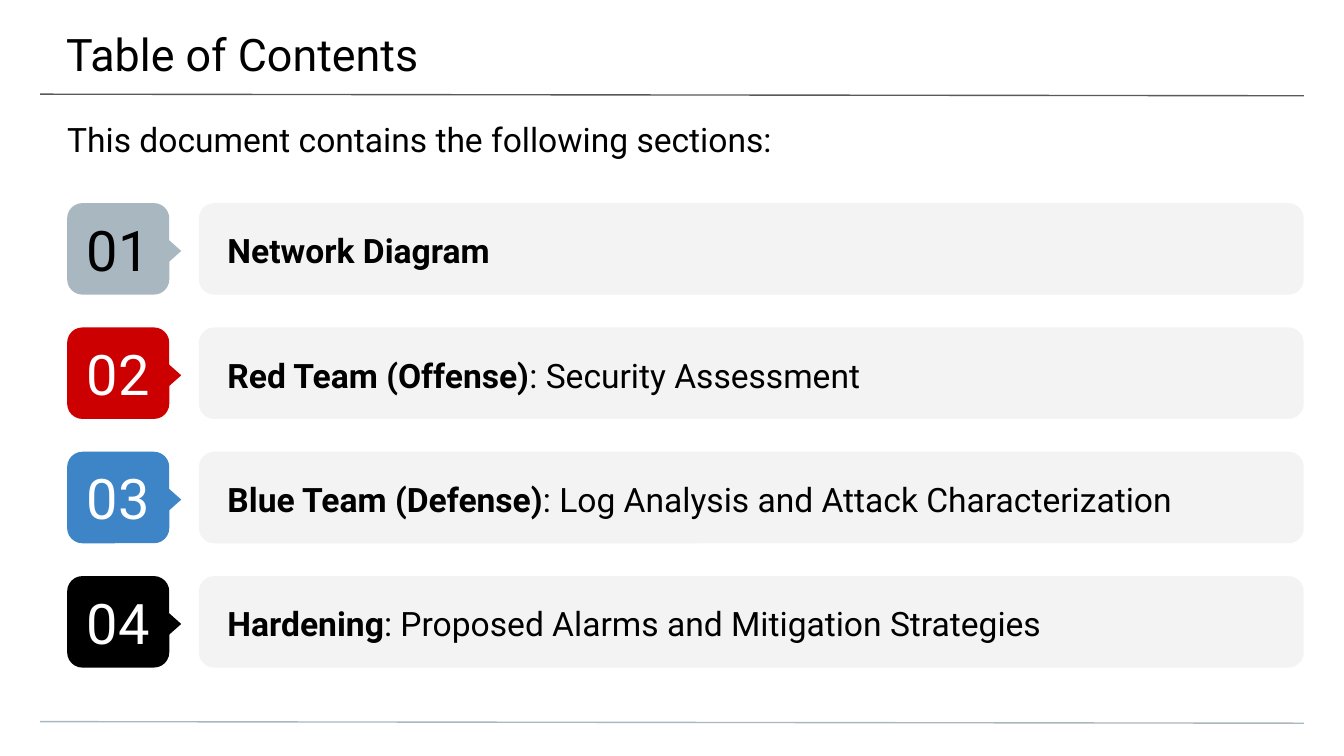
import pptx
import pptx.util
import pptx.dml.color
import pptx.enum.shapes
import pptx.enum.text
import pptx.oxml.ns
import lxml.etree
from dataclasses import dataclass

Cm = pptx.util.Cm
Shape = pptx.enum.shapes.MSO_SHAPE
Anchor = pptx.enum.text.MSO_ANCHOR
Align = pptx.enum.text.PP_ALIGN
rgb = pptx.dml.color.RGBColor.from_string


@dataclass
class Theme:
    font: str = "Roboto"
    ink: str = "000000"
    light: str = "FFFFFF"
    panel: str = "F3F3F3"
    header_rule: str = "595959"
    gray: str = "A9B7C0"
    red: str = "CC0000"
    blue: str = "3D85C6"
    title_size: int = 24
    body_size: int = 18
    number_size: int = 30


theme = Theme()


def add_filled(shapes, preset, left, top, width, height, color):
    shape = shapes.add_shape(preset, Cm(left), Cm(top), Cm(width), Cm(height))
    shape.shadow.inherit = False
    shape.fill.solid()
    shape.fill.fore_color.rgb = rgb(color)
    shape.line.fill.background()
    return shape


def write(shape, runs, size, color, margins, anchor=Anchor.MIDDLE, align=Align.LEFT):
    frame = shape.text_frame
    frame.word_wrap = True
    frame.auto_size = pptx.enum.text.MSO_AUTO_SIZE.NONE
    frame.vertical_anchor = anchor
    (frame.margin_left, frame.margin_top,
     frame.margin_right, frame.margin_bottom) = [Cm(m) for m in margins]
    paragraph = frame.paragraphs[0]
    paragraph.alignment = align
    paragraph.space_before = pptx.util.Pt(0)
    paragraph.line_spacing = 1.0
    for text, bold in runs:
        run = paragraph.add_run()
        run.text = text
        run.font.name = theme.font
        run.font.size = pptx.util.Pt(size)
        run.font.bold = bold
        run.font.color.rgb = rgb(color)
    return paragraph


deck = pptx.Presentation()
deck.slide_width, deck.slide_height = Cm(25.4), Cm(14.29)
slide = deck.slides.add_slide(deck.slide_layouts[0])
slide.background.fill.solid()
slide.background.fill.fore_color.rgb = rgb(theme.light)

# Header and footer rules
for y, color in ((1.78, theme.header_rule), (13.64, theme.gray)):
    rule = slide.shapes.add_connector(
        pptx.enum.shapes.MSO_CONNECTOR.STRAIGHT, Cm(0.76), Cm(y), Cm(24.64), Cm(y + 0.03))
    rule.line.color.rgb = rgb(color)
    rule.line.width = pptx.util.Pt(0.75)
    lxml.etree.SubElement(rule.element.spPr, pptx.oxml.ns.qn("a:effectLst"))

# Title and introduction
title, intro = slide.placeholders
title.left, title.top, title.width, title.height = Cm(0), Cm(0), Cm(25.4), Cm(1.47)
write(title, [("Table of Contents", False)], theme.title_size, theme.ink,
      (1.25, 0.51, 0.76, 0.25), Anchor.TOP)
intro.left, intro.top, intro.width, intro.height = Cm(0), Cm(1.88), Cm(25.4), Cm(1.02)
opening = write(intro, [("This document contains the following sections:", False)],
                theme.body_size, theme.ink, (1.27, 0.25, 1.27, 0), Anchor.TOP)
opening.line_spacing = 1.15
opening.space_after = pptx.util.Pt(16)

# Section rows: panel, numbered badge with pointer, label
sections = [
    ("Network Diagram", "", theme.gray, theme.ink),
    ("Red Team (Offense)", ": Security Assessment", theme.red, theme.light),
    ("Blue Team (Defense)", ": Log Analysis and Attack Characterization",
     theme.blue, theme.light),
    ("Hardening", ": Proposed Alarms and Mitigation Strategies", theme.ink, theme.light),
]
first_top, row_pitch, row_height = 3.84, 2.35, 1.73

for index, (name, detail, badge_color, number_color) in enumerate(sections):
    top = first_top + index * row_pitch
    add_filled(slide.shapes, Shape.ROUNDED_RECTANGLE, 3.76, top, 20.88, row_height, theme.panel)

    marker = slide.shapes.add_group_shape()
    badge = add_filled(marker.shapes, Shape.ROUNDED_RECTANGLE,
                       1.27, top, 1.93, row_height, badge_color)
    write(badge, [(f"{index + 1:02}", False)], theme.number_size, number_color,
          (0.25, 0.25, 0.25, 0.25), align=Align.CENTER)
    pointer = add_filled(marker.shapes, Shape.FLOWCHART_EXTRACT,
                         2.69, top + 0.64, 0.94, 0.53, badge_color)
    pointer.rotation = 90

    label = slide.shapes.add_textbox(Cm(0), Cm(top), Cm(25.4), Cm(1.68))
    runs = [(name, True)] + ([(detail, False)] if detail else [])
    line = write(label, runs, theme.body_size, theme.ink, (4.3, 0, 1.27, 0))
    line.line_spacing = 1.15

deck.save("out.pptx")
